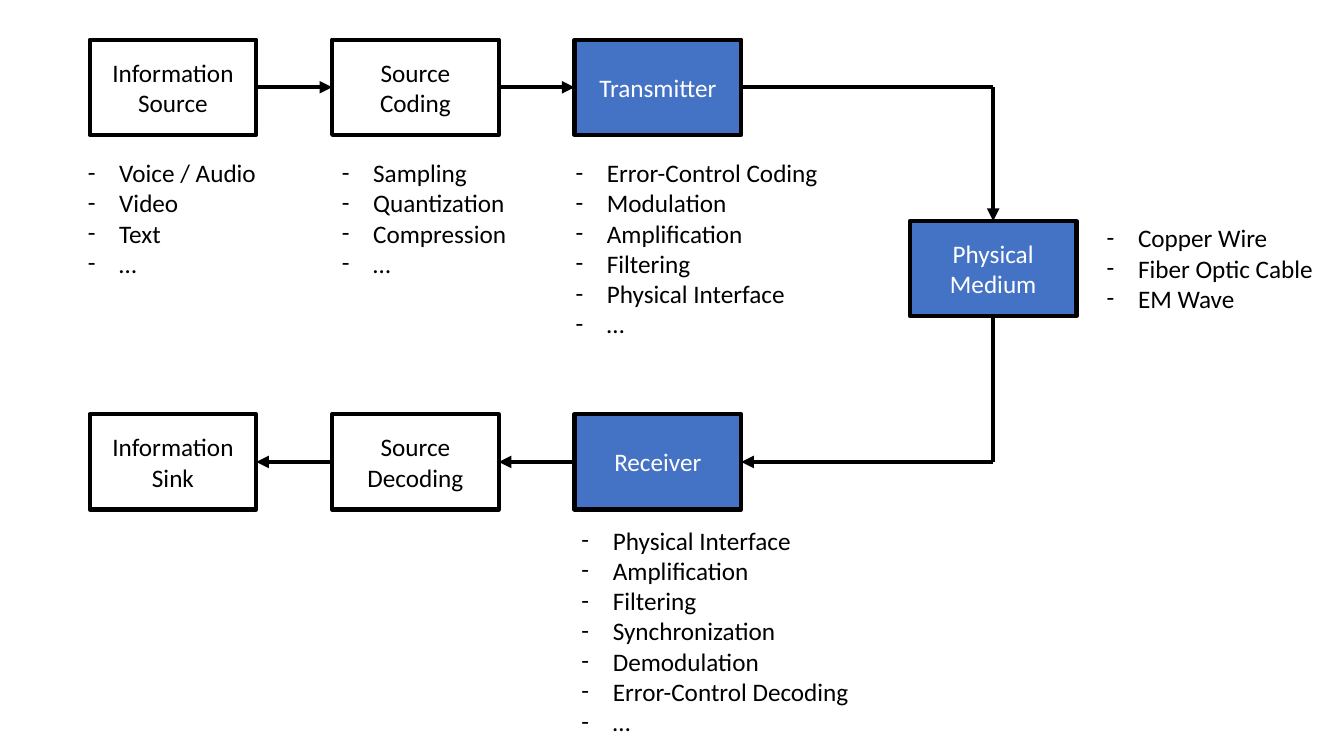
import pptx
import pptx.dml.color
import pptx.enum.shapes
import pptx.enum.text
import pptx.oxml
import pptx.oxml.ns
import pptx.util

Cm = pptx.util.Cm
Pt = pptx.util.Pt
qn = pptx.oxml.ns.qn
ALIGN = pptx.enum.text.PP_ALIGN
ANCHOR = pptx.enum.text.MSO_ANCHOR

COLORS = {"ink": "000000", "accent": "4472C4", "paper": "FFFFFF"}
TOP, LEFT, BOTTOM, RIGHT = range(4)


def rgb(name):
    return pptx.dml.color.RGBColor.from_string(COLORS[name])


def set_text(p, text, color="ink", size=18, font="Calibri", align=ALIGN.LEFT):
    p.text = text
    p.alignment = align
    p.space_before = Pt(0)
    for r in p.runs:
        r.font.name = font
        r.font.size = Pt(size)
        r.font.bold = False
        r.font.color.rgb = rgb(color)


class Diagram:
    line_width = Pt(3)
    box_w, box_h = 4.2, 2.4
    indent = Cm(0.79)

    def __init__(self, prs):
        # The comparison layout offers four body placeholders for the lists
        self.slide = prs.slides.add_slide(prs.slide_layouts[4])
        title = self.slide.shapes.title
        title.element.getparent().remove(title.element)
        self.bodies = iter(list(self.slide.placeholders))

    def box(self, text, x, y, filled=False):
        sp = self.slide.shapes.add_shape(
            pptx.enum.shapes.MSO_SHAPE.RECTANGLE,
            Cm(x), Cm(y), Cm(self.box_w), Cm(self.box_h))
        sp.shadow.inherit = False
        if filled:
            sp.fill.solid()
            sp.fill.fore_color.rgb = rgb("accent")
        else:
            sp.fill.background()
        sp.line.color.rgb = rgb("ink")
        sp.line.width = self.line_width
        tf = sp.text_frame
        tf.vertical_anchor = ANCHOR.MIDDLE
        set_text(tf.paragraphs[0], text, align=ALIGN.CENTER,
                 color="paper" if filled else "ink")
        return sp

    def line(self, start, end, arrow=True):
        """Each end is a (shape, side) pair or an (x, y) point."""
        points = [p if isinstance(p[0], int) else (0, 0) for p in (start, end)]
        cx = self.slide.shapes.add_connector(
            pptx.enum.shapes.MSO_CONNECTOR.STRAIGHT, *points[0], *points[1])
        if not isinstance(start[0], int):
            cx.begin_connect(*start)
        if not isinstance(end[0], int):
            cx.end_connect(*end)
        cx.line.color.rgb = rgb("ink")
        cx.line.width = self.line_width
        if arrow:
            ln = cx.line._get_or_add_ln()
            pptx.oxml.ns  # namespace helpers serve the arrowhead
            ln.append(ln.makeelement(qn("a:tailEnd"), {"type": "triangle"}))
        sp_pr = cx.element.spPr
        sp_pr.append(sp_pr.makeelement(qn("a:effectLst"), {}))

    def bullets(self, items, x, y, w):
        h = 0.77 * len(items) + 0.25
        sp = next(self.bodies, None)
        if sp is None:
            sp = self.slide.shapes.add_textbox(0, 0, 0, 0)
        sp.left, sp.top, sp.width, sp.height = Cm(x), Cm(y), Cm(w), Cm(h)
        tf = sp.text_frame
        tf.word_wrap = True
        tf.auto_size = pptx.enum.text.MSO_AUTO_SIZE.NONE
        tf.vertical_anchor = ANCHOR.TOP
        for i, item in enumerate(items):
            p = tf.add_paragraph() if i else tf.paragraphs[0]
            set_text(p, item)
            p_pr = p._p.get_or_add_pPr()
            p_pr.set("marL", str(self.indent))
            p_pr.set("indent", str(-self.indent))
            for tag, attrs in (("a:buFont", {"typeface": "Calibri"}),
                               ("a:buChar", {"char": "-"})):
                p_pr.append(p_pr.makeelement(qn(tag), attrs))


def main():
    prs = pptx.Presentation()
    prs.slide_width, prs.slide_height = Cm(33.87), Cm(19.05)
    d = Diagram(prs)

    # Sending row on top, receiving row below
    rows = [
        (1.0, ["Information\nSource", "Source\nCoding", "Transmitter"]),
        (10.44, ["Information\nSink", "Source\nDecoding", "Receiver"]),
    ]
    sending, receiving = [
        [d.box(name, 2.26 + 6.11 * col, y, filled=col == 2)
         for col, name in enumerate(names)]
        for y, names in rows
    ]
    medium = d.box("Physical\nMedium", 22.93, 5.57, filled=True)

    # Arrows along the rows
    for a, b in zip(sending, sending[1:]):
        d.line((a, RIGHT), (b, LEFT))
    for a, b in zip(receiving, receiving[1:]):
        d.line((b, LEFT), (a, RIGHT))

    # Path through the medium, with a corner beside each row
    transmitter, receiver = sending[-1], receiving[-1]
    upper, lower = [
        (int(medium.left + medium.width / 2), int(sp.top + sp.height / 2))
        for sp in (transmitter, receiver)
    ]
    d.line((transmitter, RIGHT), upper, arrow=False)
    d.line(upper, (medium, TOP))
    d.line((medium, BOTTOM), lower, arrow=False)
    d.line(lower, (receiver, RIGHT))

    # Lists of what each block covers
    d.bullets(["Voice / Audio", "Video", "Text", "…"], 1.96, 3.84, 5.2)
    d.bullets(["Sampling", "Quantization", "Compression", "…"], 8.36, 3.84, 5.2)
    d.bullets(["Error-Control Coding", "Modulation", "Amplification",
               "Filtering", "Physical Interface", "…"], 14.25, 3.84, 7.2)
    d.bullets(["Physical Interface", "Amplification", "Filtering",
               "Synchronization", "Demodulation", "Error-Control Decoding",
               "…"], 14.4, 13.1, 7.8)
    d.bullets(["Copper Wire", "Fiber Optic Cable", "EM Wave"], 27.64, 5.49, 6.1)

    prs.save("out.pptx")


if __name__ == "__main__":
    main()
